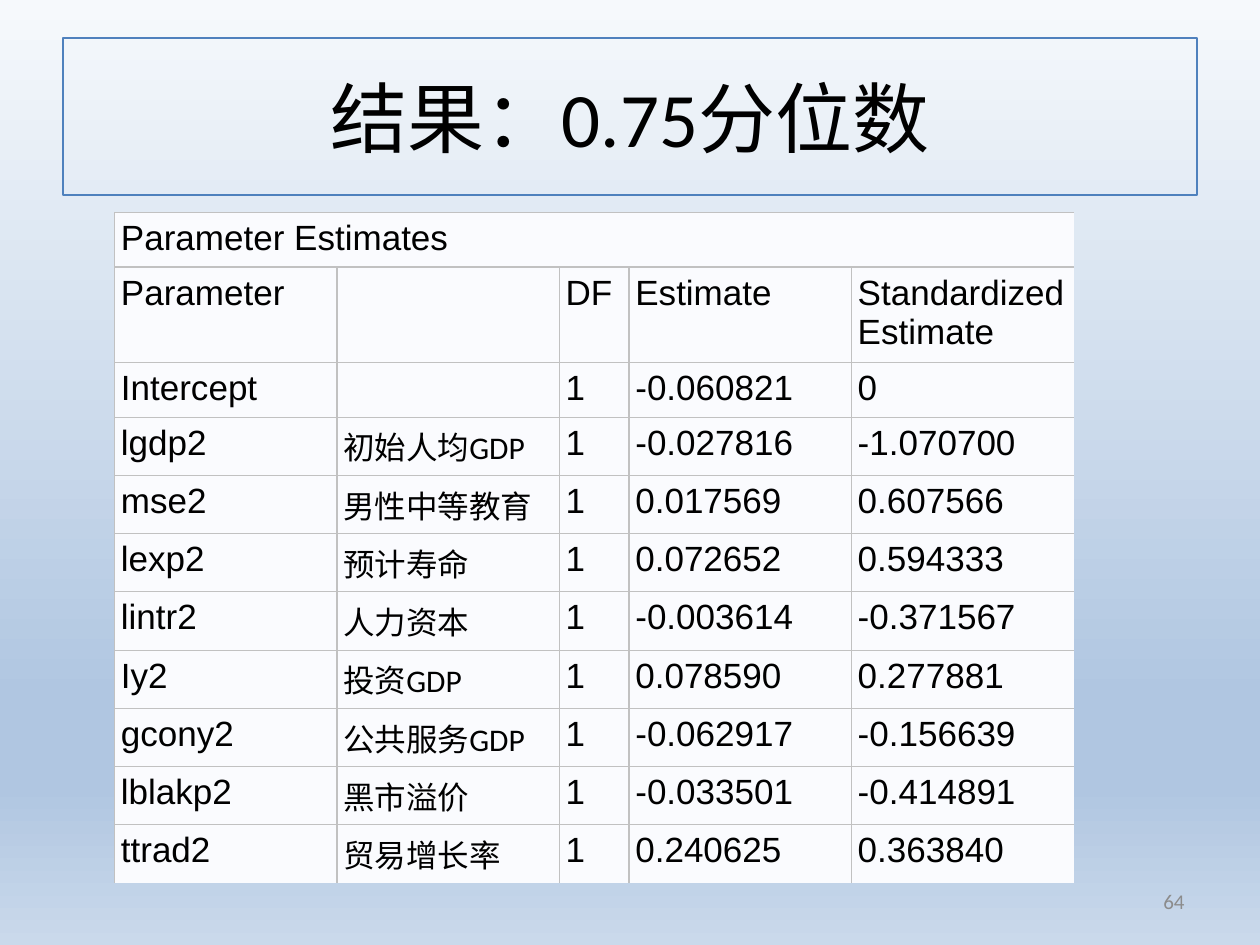
import lxml.etree
import pptx
import pptx.dml.color
import pptx.enum.shapes
import pptx.enum.text
import pptx.oxml
import pptx.oxml.ns
import pptx.util
from dataclasses import dataclass

Pt = pptx.util.Pt
RGB = pptx.dml.color.RGBColor.from_string
ALIGN = pptx.enum.text.PP_ALIGN
ANCHOR = pptx.enum.text.MSO_ANCHOR


@dataclass(frozen=True)
class Theme:
    text: str = "000000"
    muted: str = "8C8C8C"
    title_line: str = "4F81BD"
    grid: str = "C1C1C1"
    cell: str = "FAFBFE"
    background: tuple = ((0, "F6F9FC"), (74, "B0C6E1"), (83, "B0C6E1"), (100, "CAD9EB"))
    title_size: int = 44
    table_size: int = 20
    label_size: int = 18
    number_size: int = 12
    body_font: str = "Calibri"
    table_font: str = "Arial"


theme = Theme()


def write_text(frame, text, size, font=theme.body_font, color=theme.text,
               align=ALIGN.LEFT, anchor=ANCHOR.MIDDLE):
    frame.word_wrap = True
    frame.vertical_anchor = anchor
    paragraph = frame.paragraphs[0]
    paragraph.text = text
    paragraph.alignment = align
    for run in paragraph.runs:
        run.font.size = Pt(size)
        run.font.name = font
        run.font.color.rgb = RGB(color)


def add_border(cell, side, visible):
    properties = cell._tc.get_or_add_tcPr()
    line = lxml.etree.SubElement(properties, pptx.oxml.ns.qn(f"a:ln{side}"))
    line.set("w", str(Pt(0.75) if visible else 0))
    fill_name = "a:solidFill" if visible else "a:noFill"
    fill = lxml.etree.SubElement(line, pptx.oxml.ns.qn(fill_name))
    if visible:
        lxml.etree.SubElement(fill, pptx.oxml.ns.qn("a:srgbClr")).set("val", theme.grid)


presentation = pptx.Presentation()
presentation.slide_width, presentation.slide_height = Pt(720), Pt(540)
slide = presentation.slides.add_slide(presentation.slide_layouts[6])

# Background gradient, top to bottom
background_fill = slide.background.fill
background_fill.gradient()
gradient = slide._element.cSld.find(".//" + pptx.oxml.ns.qn("a:gradFill"))
stops = gradient.find(pptx.oxml.ns.qn("a:gsLst"))
for stop in list(stops):
    stops.remove(stop)
for position, color in theme.background:
    stop = lxml.etree.SubElement(stops, pptx.oxml.ns.qn("a:gs"), pos=str(position * 1000))
    lxml.etree.SubElement(stop, pptx.oxml.ns.qn("a:srgbClr"), val=color)
gradient.find(pptx.oxml.ns.qn("a:lin")).set("ang", "5400000")

# Title box
title = slide.shapes.add_shape(pptx.enum.shapes.MSO_SHAPE.RECTANGLE,
                               Pt(36), Pt(21.6), Pt(648), Pt(90))
title.shadow.inherit = False
title.fill.background()
title.line.color.rgb = RGB(theme.title_line)
title.line.width = Pt(1)
write_text(title.text_frame, "结果：0.75分位数", theme.title_size, align=ALIGN.CENTER)

# Parameter estimates table
rows = [
    ("Parameter Estimates", "", "", "", ""),
    ("Parameter", "", "DF", "Estimate", "Standardized\vEstimate"),
    ("Intercept", "", "1", "-0.060821", "0"),
    ("lgdp2", "初始人均GDP", "1", "-0.027816", "-1.070700"),
    ("mse2", "男性中等教育", "1", "0.017569", "0.607566"),
    ("lexp2", "预计寿命", "1", "0.072652", "0.594333"),
    ("lintr2", "人力资本", "1", "-0.003614", "-0.371567"),
    ("Iy2", "投资GDP", "1", "0.078590", "0.277881"),
    ("gcony2", "公共服务GDP", "1", "-0.062917", "-0.156639"),
    ("lblakp2", "黑市溢价", "1", "-0.033501", "-0.414891"),
    ("ttrad2", "贸易增长率", "1", "0.240625", "0.363840"),
]
column_widths = [127.1, 127.1, 39.8, 127.1, 127.1]
row_heights = [31.2, 54.6, 31.2] + [33.2] * 8
last_row, last_column = len(rows) - 1, len(column_widths) - 1

table = slide.shapes.add_table(len(rows), len(column_widths), Pt(65.5), Pt(121.4),
                               Pt(sum(column_widths)), Pt(sum(row_heights))).table
table.first_row = table.horz_banding = False
for column, width in zip(table.columns, column_widths):
    column.width = Pt(width)
for row, height in zip(table.rows, row_heights):
    row.height = Pt(height)
table.cell(0, 0).merge(table.cell(0, last_column))

for row_index, values in enumerate(rows):
    for column_index, value in enumerate(values):
        cell = table.cell(row_index, column_index)
        cell.margin_left = cell.margin_right = Pt(3.6)
        cell.margin_top = cell.margin_bottom = Pt(3.6)
        # The table is open on its right and bottom edges
        add_border(cell, "L", row_index > 0 or column_index == 0)
        add_border(cell, "R", row_index > 0 and column_index < last_column)
        add_border(cell, "T", True)
        add_border(cell, "B", row_index < last_row)
        cell.fill.solid()
        cell.fill.fore_color.rgb = RGB(theme.cell)
        if value:
            is_label = column_index == 1
            write_text(cell.text_frame, value,
                       theme.label_size if is_label else theme.table_size,
                       font=theme.body_font if is_label else theme.table_font,
                       anchor=ANCHOR.TOP)

# Slide number
number = slide.shapes.add_textbox(Pt(516), Pt(500.5), Pt(168), Pt(28.8))
write_text(number.text_frame, "64", theme.number_size, color=theme.muted, align=ALIGN.RIGHT)

presentation.save("out.pptx")
